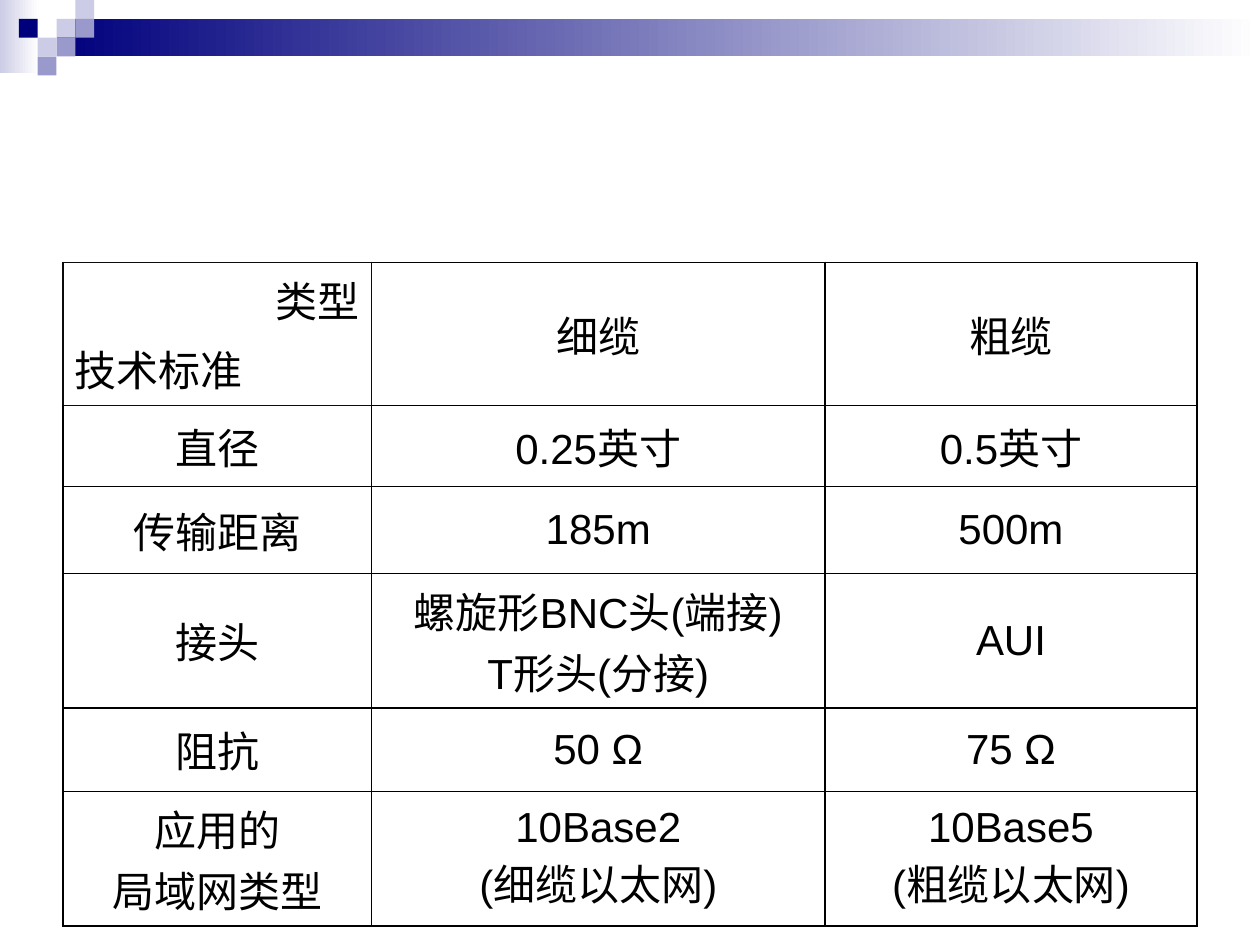
from dataclasses import dataclass

from lxml import etree
from pptx import Presentation
from pptx.dml.color import RGBColor
from pptx.enum.shapes import MSO_SHAPE
from pptx.enum.text import MSO_ANCHOR, PP_ALIGN
from pptx.oxml.ns import qn
from pptx.util import Cm, Pt

RECTANGLE = MSO_SHAPE.RECTANGLE
MIDDLE = MSO_ANCHOR.MIDDLE
LEFT, CENTER, RIGHT = PP_ALIGN.LEFT, PP_ALIGN.CENTER, PP_ALIGN.RIGHT


@dataclass(frozen=True)
class Theme:
    navy: str = "00007D"
    violet: str = "9999CC"
    lavender: str = "CCCCE6"
    white: str = "FFFFFF"
    text: str = "000000"
    border: str = "000000"
    corner_border: str = "0B0B0B"
    font: str = "Arial"
    size: int = 24
    border_width: int = 1


THEME = Theme()

ROWS = [
    [["类型", "技术标准"], ["细缆"], ["粗缆"]],
    [["直径"], ["0.25英寸"], ["0.5英寸"]],
    [["传输距离"], ["185m"], ["500m"]],
    [["接头"], ["螺旋形BNC头(端接)", "T形头(分接)"], ["AUI"]],
    [["阻抗"], ["50 Ω"], ["75 Ω"]],
    [["应用的", "局域网类型"], ["10Base2", "(细缆以太网)"], ["10Base5", "(粗缆以太网)"]],
]
COLUMN_WIDTHS = [6.22, 9.14, 7.5]
ROW_HEIGHTS = [2.46, 1.63, 1.75, 2.26, 1.68, 2.26]
TABLE_LEFT, TABLE_TOP = 1.27, 5.29

CORNER_ALIGNMENTS = [RIGHT, LEFT]
CORNER_EDGES = {(0, 0, edge) for edge in "LRTB"} | {(0, 1, "L"), (1, 0, "T")}

SLIDE_WIDTH, SLIDE_HEIGHT = 25.4, 19.05
TILE = 0.38
BANDS = [
    (0, 0, 0.78, 1.48, THEME.lavender),
    (3 * TILE, TILE, SLIDE_WIDTH - 3 * TILE, 2 * TILE, THEME.navy),
]
TILES = [
    (3, 1, THEME.lavender),
    (4, 0, THEME.lavender),
    (4, 1, THEME.violet),
    (2, 2, THEME.lavender),
    (1, 1, THEME.navy),
    (3, 2, THEME.violet),
    (2, 3, THEME.violet),
]


def rgb(value):
    return RGBColor.from_string(value)


def add_rectangle(slide, left, top, width, height):
    shape = slide.shapes.add_shape(RECTANGLE, Cm(left), Cm(top), Cm(width), Cm(height))
    shape.shadow.inherit = False
    shape.line.fill.background()
    return shape


def add_header(slide):
    for left, top, width, height, color in BANDS:
        fill = add_rectangle(slide, left, top, width, height).fill
        fill.gradient()
        fill.gradient_angle = 0
        for stop, stop_color in zip(fill.gradient_stops, (color, THEME.white)):
            stop.color.rgb = rgb(stop_color)
    for column, row, color in TILES:
        fill = add_rectangle(slide, column * TILE, row * TILE, TILE, TILE).fill
        fill.solid()
        fill.fore_color.rgb = rgb(color)


def set_borders(cell, row, column):
    properties = cell._tc.get_or_add_tcPr()
    for edge in "LRTB":
        is_corner = (row, column, edge) in CORNER_EDGES
        line = etree.SubElement(properties, qn(f"a:ln{edge}"), w=str(Pt(THEME.border_width)))
        fill = etree.SubElement(line, qn("a:solidFill"))
        color = THEME.corner_border if is_corner else THEME.border
        etree.SubElement(fill, qn("a:srgbClr"), val=color)


def set_space_before(paragraph, percent):
    spacing = etree.SubElement(paragraph._p.get_or_add_pPr(), qn("a:spcBef"))
    etree.SubElement(spacing, qn("a:spcPct"), val=str(percent * 1000))


def fill_cell(cell, lines, row, column):
    set_borders(cell, row, column)
    cell.fill.background()
    cell.vertical_anchor = MIDDLE
    cell.margin_left = cell.margin_right = Cm(0.24)
    cell.margin_top = cell.margin_bottom = Cm(0.13)
    is_corner = row == column == 0
    frame = cell.text_frame
    for index, text in enumerate(lines):
        paragraph = frame.add_paragraph() if index else frame.paragraphs[0]
        paragraph.alignment = CORNER_ALIGNMENTS[index] if is_corner else CENTER
        if is_corner:
            set_space_before(paragraph, 20)
        run = paragraph.add_run()
        run.text = text
        run.font.name = THEME.font
        run.font.size = Pt(THEME.size)
        run.font.bold = False
        run.font.color.rgb = rgb(THEME.text)


def add_comparison_table(slide):
    table = slide.shapes.add_table(
        len(ROWS), len(COLUMN_WIDTHS), Cm(TABLE_LEFT), Cm(TABLE_TOP),
        Cm(sum(COLUMN_WIDTHS)), Cm(sum(ROW_HEIGHTS)),
    ).table
    table.first_row = table.horz_banding = False
    for column, width in zip(table.columns, COLUMN_WIDTHS):
        column.width = Cm(width)
    for row, height in zip(table.rows, ROW_HEIGHTS):
        row.height = Cm(height)
    for row, cells in enumerate(ROWS):
        for column, lines in enumerate(cells):
            fill_cell(table.cell(row, column), lines, row, column)


def main():
    """Build the slide comparing thin and thick coaxial cable."""
    presentation = Presentation()
    presentation.slide_width = Cm(SLIDE_WIDTH)
    presentation.slide_height = Cm(SLIDE_HEIGHT)
    slide = presentation.slides.add_slide(presentation.slide_layouts[6])
    add_header(slide)
    add_comparison_table(slide)
    presentation.save("out.pptx")


if __name__ == "__main__":
    main()
